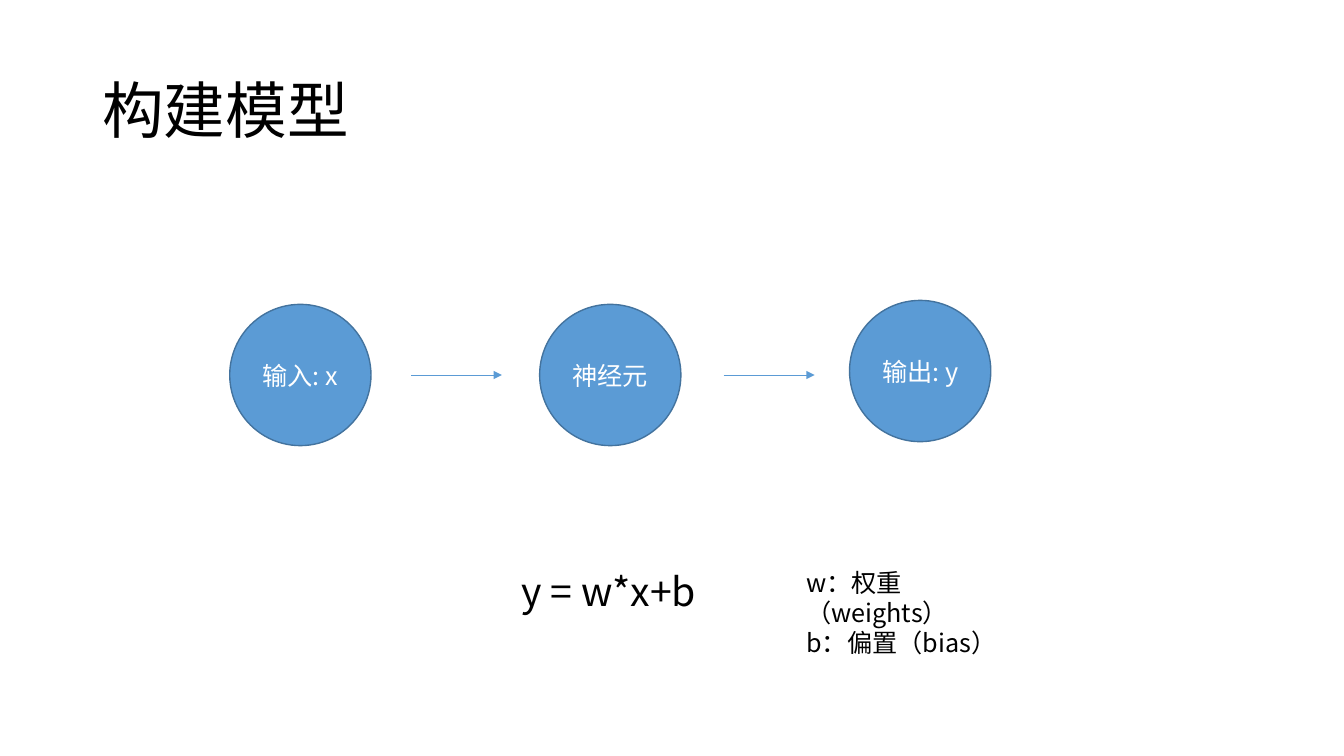
from lxml.etree import SubElement
from pptx import Presentation
from pptx.dml.color import RGBColor
from pptx.enum.shapes import MSO_CONNECTOR as CONN, MSO_SHAPE as SHAPE
from pptx.enum.text import MSO_ANCHOR as ANCHOR, PP_ALIGN as ALIGN
from pptx.oxml.ns import qn
from pptx.util import Cm, Pt

FONT = "Noto Sans CJK SC"
BLACK = RGBColor(0x00, 0x00, 0x00)
WHITE = RGBColor(0xFF, 0xFF, 0xFF)
BLUE = RGBColor(0x5B, 0x9B, 0xD5)
DARK_BLUE = RGBColor(0x43, 0x73, 0x9E)

DIAMETER = 3.56
STEP = 7.81
FIRST_LEFT = 5.79
ARROW_LEFT = 10.36
ARROW_STEP = 7.88
ARROW_LENGTH = 2.29
ARROW_Y = 9.45
CAPTION_TOP = 14.17


def write(tf, text, size=18, color=BLACK, align=ALIGN.LEFT,
          anchor=ANCHOR.TOP, spacing=1.0, wrap=True):
    """Fill a text frame with one paragraph per line of text."""
    tf.word_wrap = wrap
    tf.vertical_anchor = anchor
    for i, line in enumerate(text.split("\n")):
        p = tf.paragraphs[0] if i == 0 else tf.add_paragraph()
        p.alignment = align
        p.line_spacing = spacing
        r = p.add_run()
        r.text = line
        r.font.size = Pt(size)
        r.font.name = FONT
        r.font.color.rgb = color
        SubElement(r.font._element, qn("a:ea"), typeface=FONT)


def add_text(s, text, left, top, width, height, **fmt):
    """Add a text box with formatted text."""
    sp = s.shapes.add_textbox(Cm(left), Cm(top), Cm(width), Cm(height))
    write(sp.text_frame, text, **fmt)


def add_node(s, text, left, top):
    """Add a labelled circle of the model."""
    sp = s.shapes.add_shape(SHAPE.OVAL, Cm(left), Cm(top),
                            Cm(DIAMETER), Cm(DIAMETER))
    sp.shadow.inherit = False
    sp.fill.solid()
    sp.fill.fore_color.rgb = BLUE
    sp.line.color.rgb = DARK_BLUE
    sp.line.width = Pt(1)
    write(sp.text_frame, text, color=WHITE, align=ALIGN.CENTER,
          anchor=ANCHOR.MIDDLE)


def add_arrow(s, left):
    """Add a thin horizontal arrow pointing right."""
    c = s.shapes.add_connector(CONN.STRAIGHT, Cm(left), Cm(ARROW_Y),
                               Cm(left + ARROW_LENGTH), Cm(ARROW_Y))
    c.line.color.rgb = BLUE
    c.line.width = Pt(0.5)
    SubElement(c.line._get_or_add_ln(), qn("a:tailEnd"), type="triangle")
    SubElement(c._element.spPr, qn("a:effectLst"))


def main():
    """Build the slide and save it."""
    prs = Presentation()
    prs.slide_width, prs.slide_height = Cm(33.87), Cm(19.05)
    s = prs.slides.add_slide(prs.slide_layouts[6])

    add_text(s, "构建模型", 2.33, 1.01, 29.21, 3.68, size=44,
             anchor=ANCHOR.MIDDLE, spacing=0.9)
    nodes = [("输入: x", 7.67), ("神经元", 7.67), ("输出: y", 7.57)]
    for i, (text, top) in enumerate(nodes):
        add_node(s, text, FIRST_LEFT + i * STEP, top)
    for i in range(len(nodes) - 1):
        add_arrow(s, ARROW_LEFT + i * ARROW_STEP)
    add_text(s, "y = w*x+b", 12.9, CAPTION_TOP, 4.98, 1.45, size=28,
             wrap=False)
    add_text(s, "w：权重（weights）\nb：偏置（bias）", 20.07, CAPTION_TOP,
             6.27, 1.8)

    prs.save("out.pptx")


if __name__ == "__main__":
    main()
